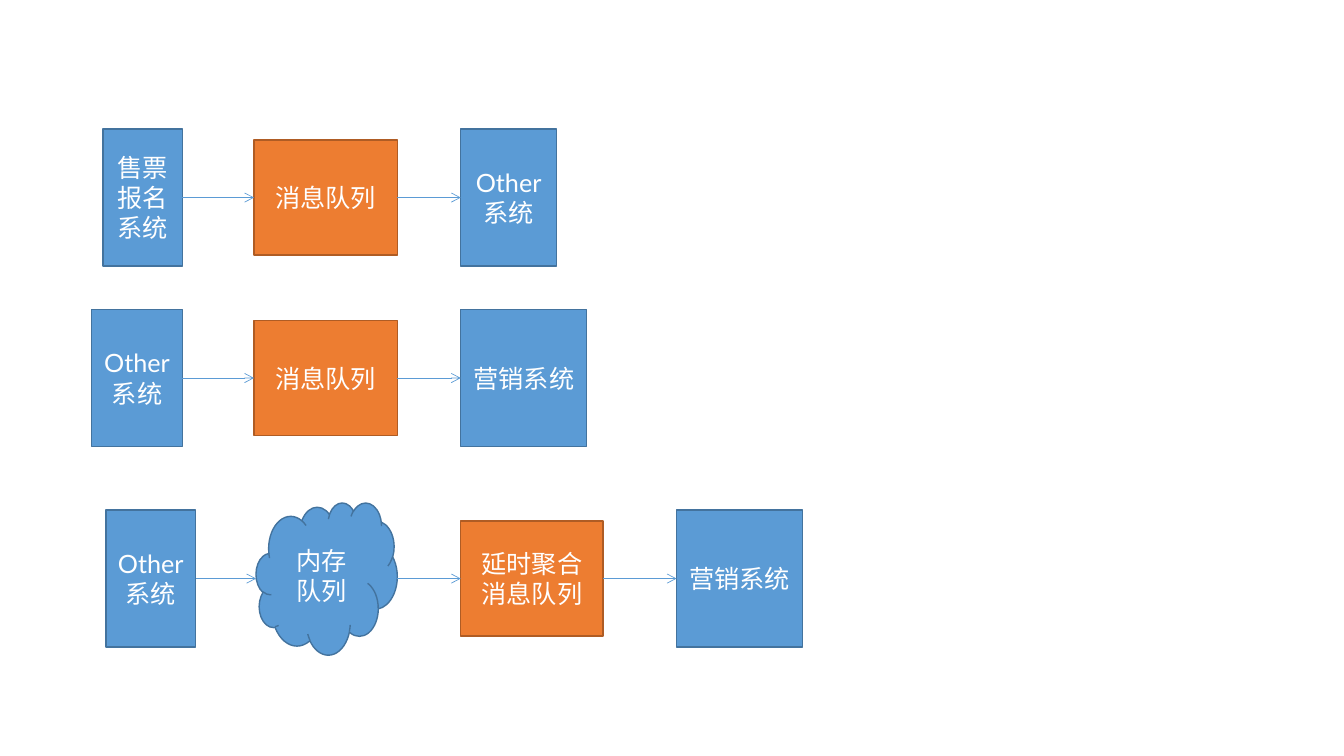
from itertools import pairwise

from lxml import etree
from pptx import Presentation
from pptx.dml.color import RGBColor
from pptx.enum.shapes import MSO_CONNECTOR as Connector, MSO_SHAPE as Shape
from pptx.enum.text import MSO_ANCHOR as Anchor, PP_ALIGN as Align
from pptx.oxml.ns import qn
from pptx.util import Inches, Pt

COLORS = {
    "system": "5B9BD5", "system_edge": "43739E",
    "queue": "ED7D31", "queue_edge": "AF5C24",
    "arrow": "5B9BD5", "text": "FFFFFF",
}

# Kind of node: preset shape, height, colour
KINDS = {
    "system": (Shape.RECTANGLE, 1.36, "system"),
    "queue": (Shape.RECTANGLE, 1.14, "queue"),
    "memory": (Shape.CLOUD, 1.51, "system"),
}

# Each flow: vertical centre, then nodes as (kind, left, width, label)
FLOWS = [
    (1.96, [("system", 1.02, 0.79, "售票报名系统"),
            ("queue", 2.52, 1.42, "消息队列"),
            ("system", 4.57, 0.95, "Other系统")]),
    (3.75, [("system", 0.91, 0.9, "Other系统"),
            ("queue", 2.52, 1.42, "消息队列"),
            ("system", 4.57, 1.25, "营销系统")]),
    (5.74, [("system", 1.05, 0.89, "Other系统"),
            ("memory", 2.54, 1.4, "内存队列"),
            ("queue", 4.57, 1.41, "延时聚合消息队列"),
            ("system", 6.71, 1.25, "营销系统")]),
]


def color(name):
    return RGBColor.from_string(COLORS[name])


def add_node(slide, center, kind, left, width, label):
    preset, height, tone = KINDS[kind]
    node = slide.shapes.add_shape(preset, Inches(left), Inches(center - height / 2),
                                  Inches(width), Inches(height))
    node.shadow.inherit = False
    node.fill.solid()
    node.fill.fore_color.rgb = color(tone)
    node.line.color.rgb = color(f"{tone}_edge")
    node.line.width = Pt(1)

    frame = node.text_frame
    frame.word_wrap = True
    frame.vertical_anchor = Anchor.MIDDLE
    paragraph = frame.paragraphs[0]
    paragraph.alignment = Align.CENTER
    run = paragraph.add_run()
    run.text = label
    run.font.name = "Lato"
    run.font.size = Pt(18)
    run.font.color.rgb = color("text")


def add_arrow(slide, center, start, end):
    arrow = slide.shapes.add_connector(Connector.STRAIGHT, Inches(start), Inches(center),
                                       Inches(end), Inches(center))
    arrow.line.color.rgb = color("arrow")
    arrow.line.width = Pt(0.5)
    # Open arrowhead, no shadow
    etree.SubElement(arrow.line._get_or_add_ln(), qn("a:tailEnd"), type="arrow")
    etree.SubElement(arrow._element.spPr, qn("a:effectLst"))


def add_flow(slide, center, nodes):
    for node in nodes:
        add_node(slide, center, *node)
    for (_, left, width, _), (_, next_left, _, _) in pairwise(nodes):
        add_arrow(slide, center, left + width, next_left)


def main():
    deck = Presentation()
    deck.slide_width, deck.slide_height = Inches(13.33), Inches(7.5)
    slide = deck.slides.add_slide(deck.slide_layouts[6])
    for center, nodes in FLOWS:
        add_flow(slide, center, nodes)
    deck.save("out.pptx")


if __name__ == "__main__":
    main()
